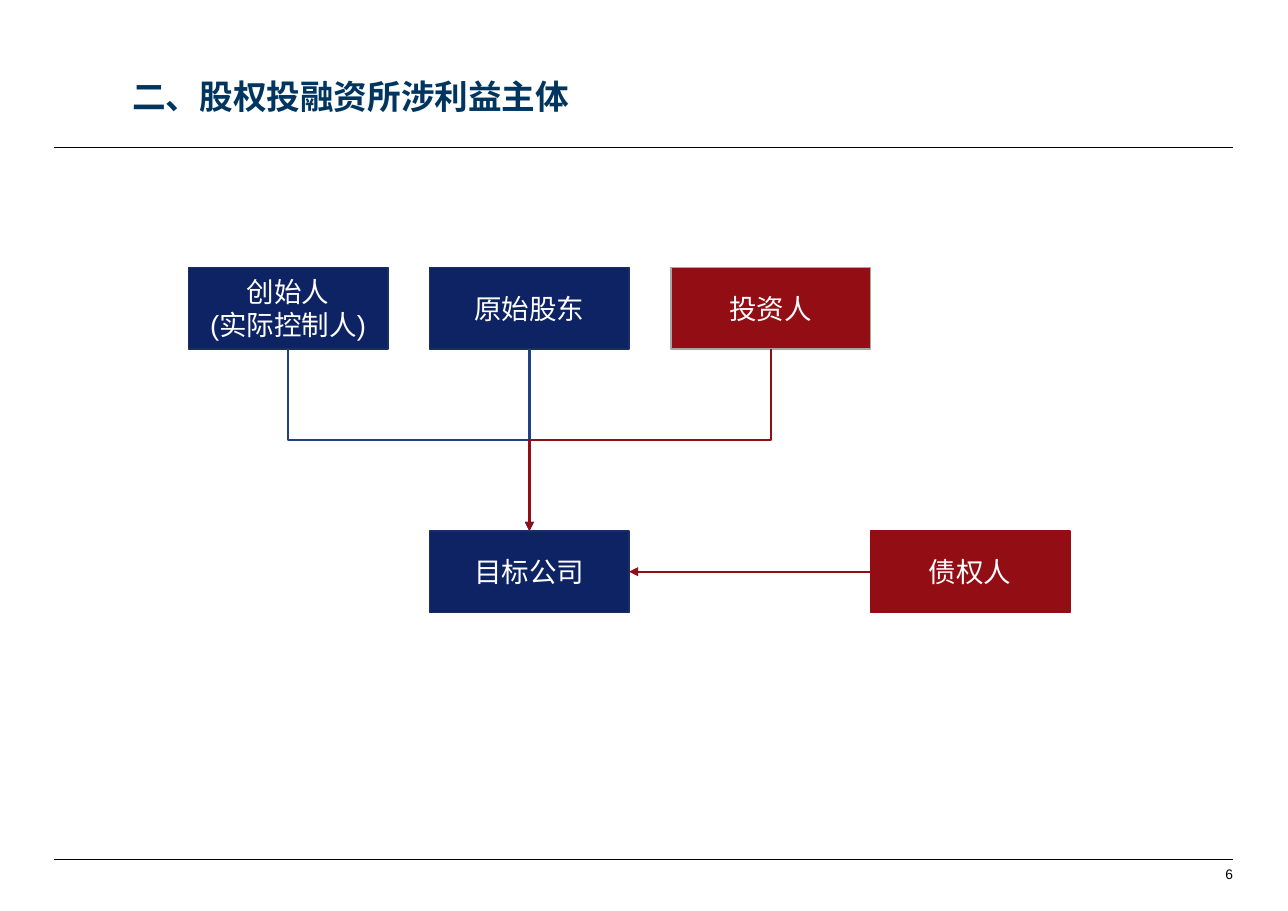
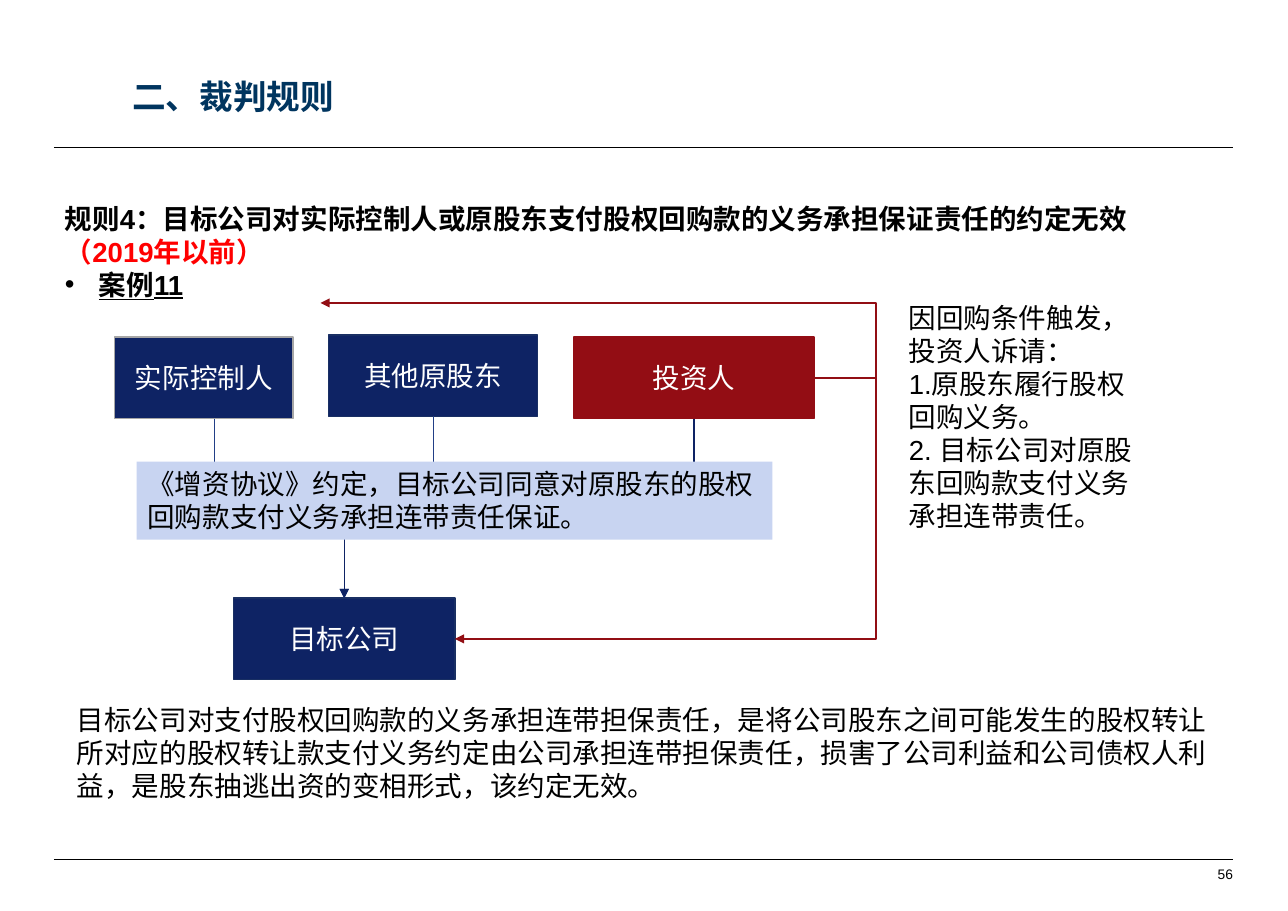
from lxml.etree import SubElement
from pptx import Presentation
from pptx.dml.color import RGBColor
from pptx.enum.lang import MSO_LANGUAGE_ID
from pptx.enum.shapes import MSO_CONNECTOR, MSO_SHAPE
from pptx.enum.text import MSO_ANCHOR, PP_ALIGN
from pptx.oxml.ns import qn
from pptx.util import Inches, Pt

BLACK = RGBColor(0x00, 0x00, 0x00)
WHITE = RGBColor(0xFF, 0xFF, 0xFF)
TITLE = RGBColor(0x00, 0x35, 0x5F)
NAVY = RGBColor(0x0E, 0x23, 0x64)
NAVY_EDGE = RGBColor(0x19, 0x2F, 0x63)
BLUE = RGBColor(0x22, 0x3F, 0x86)
RED = RGBColor(0x93, 0x0D, 0x14)
RED_LINE = RGBColor(0x92, 0x0E, 0x14)
ALERT = RGBColor(0xFF, 0x00, 0x00)
GREY = RGBColor(0xA6, 0xA6, 0xA6)
PALE = RGBColor(0xC8, 0xD4, 0xF1)

SLIDE_W, SLIDE_H = Inches(11.69), Inches(8.27)
MARGIN = 0.49
RIGHT = 11.19
BOX_H = 0.74
BOX_W = 1.81
COL_STEP = 2.19


def style_run(r, size=18, color=BLACK, bold=None):
    r.font.size = Pt(size)
    r.font.name = "Arial"
    r.font.bold = bold
    r.font.color.rgb = color
    r.font.language_id = MSO_LANGUAGE_ID.SIMPLIFIED_CHINESE


def fill_text(sp, lines, align=PP_ALIGN.LEFT, anchor=MSO_ANCHOR.TOP, **style):
    tf = sp.text_frame
    tf.word_wrap = True
    tf.vertical_anchor = anchor
    tf.text = "\n".join(lines)
    for p in tf.paragraphs:
        p.alignment = align
        for r in p.runs:
            style_run(r, **style)
    return tf


def set_insets(tf, left, top, right, bottom):
    tf.margin_left, tf.margin_top = Inches(left), Inches(top)
    tf.margin_right, tf.margin_bottom = Inches(right), Inches(bottom)


def add_text(slide, x, y, w, h, lines, **style):
    sp = slide.shapes.add_textbox(Inches(x), Inches(y), Inches(w), Inches(h))
    return fill_text(sp, lines, **style)


def add_rect(slide, x, y, w, h, fill, edge=None):
    sp = slide.shapes.add_shape(
        MSO_SHAPE.RECTANGLE, Inches(x), Inches(y), Inches(w), Inches(h))
    sp.shadow.inherit = False
    sp.fill.solid()
    sp.fill.fore_color.rgb = fill
    if edge is None:
        sp.line.fill.background()
    else:
        sp.line.color.rgb = edge
        sp.line.width = Pt(1)
    return sp


def add_party(slide, x, y, lines, w=BOX_W, fill=NAVY, edge=NAVY_EDGE):
    sp = add_rect(slide, x, y, w, BOX_H, fill, edge)
    fill_text(sp, lines, PP_ALIGN.CENTER, MSO_ANCHOR.MIDDLE, color=WHITE)
    return sp


def top_mid(sp):
    return sp.left + sp.width // 2, sp.top


def bottom_mid(sp):
    return sp.left + sp.width // 2, sp.top + sp.height


def left_mid(sp):
    return sp.left, sp.top + sp.height // 2


def right_mid(sp):
    return sp.left + sp.width, sp.top + sp.height // 2


def add_line(slide, start, end, color, width, arrow=True,
             kind=MSO_CONNECTOR.STRAIGHT, bend=None):
    line = slide.shapes.add_connector(kind, *start, *end)
    line.line.color.rgb = color
    line.line.width = Pt(width)
    spPr = line._element.spPr
    if arrow:
        SubElement(spPr.find(qn("a:ln")), qn("a:tailEnd"), type="triangle")
    SubElement(spPr, qn("a:effectLst"))
    if bend is not None:
        geom = spPr.find(qn("a:prstGeom"))
        av = geom.find(qn("a:avLst"))
        if av is None:
            av = SubElement(geom, qn("a:avLst"))
        SubElement(av, qn("a:gd"), name="adj1", fmla=f"val {round(bend * 100000)}")
    return line


def add_drop(slide, start, end, color, width):
    (x1, y1), (x2, y2) = start, end
    cx, cy = (x1 + x2) // 2, (y1 + y2) // 2
    half_w, half_h = (y2 - y1) // 2, abs(x2 - x1) // 2
    side, turn = (1, 270) if x2 > x1 else (-1, 90)
    line = add_line(slide, (cx + side * half_w, cy - half_h),
                    (cx - side * half_w, cy + half_h), color, width,
                    kind=MSO_CONNECTOR.ELBOW)
    line._element.spPr.find(qn("a:xfrm")).set("rot", str(turn * 60000))


def add_loop(slide, start, end, turn_x, color, width):
    bend = (turn_x - start[0]) / (end[0] - start[0])
    add_line(slide, start, end, color, width,
             kind=MSO_CONNECTOR.ELBOW, bend=bend)


def new_slide(prs, title, number):
    slide = prs.slides.add_slide(prs.slide_layouts[6])
    for y in (1.34, 7.8):
        add_line(slide, (Inches(MARGIN), Inches(y)),
                 (Inches(RIGHT), Inches(y)), BLACK, 0.5, arrow=False)
    tf = add_text(slide, RIGHT - 0.79, 7.81, 0.79, 0.25, [str(number)],
                  align=PP_ALIGN.RIGHT, anchor=MSO_ANCHOR.MIDDLE, size=9)
    set_insets(tf, 0.1, 0.02, 0, 0.02)
    tf = add_text(slide, 1.2, 0.69, 8.02, 0.43, [title],
                  size=22, color=TITLE, bold=True)
    set_insets(tf, 0, 0, 0, 0)
    tf.paragraphs[0].space_before = Pt(11)
    return slide


def build_parties(prs):
    slide = new_slide(prs, "二、股权投融资所涉利益主体", 6)
    col = [1.71 + i * COL_STEP for i in range(3)]
    upper, lower = 2.43, 4.82
    founder = add_party(slide, col[0], upper, ["创始人", "(实际控制人)"])
    holder = add_party(slide, col[1], upper, ["原始股东"])
    target = add_party(slide, col[1], lower, ["目标公司"])
    add_drop(slide, bottom_mid(founder), top_mid(target), BLUE, 1.5)
    add_line(slide, bottom_mid(holder), top_mid(target), BLUE, 1.5)
    investor = add_party(slide, col[2], upper, ["投资人"], fill=RED, edge=GREY)
    add_drop(slide, bottom_mid(investor), top_mid(target), RED_LINE, 1.5)
    creditor = add_party(slide, col[2] + BOX_W, lower, ["债权人"],
                         fill=RED, edge=RED)
    add_line(slide, left_mid(creditor), right_mid(target), RED_LINE, 1.5)


def add_rule(slide):
    tf = add_text(
        slide, MARGIN, 1.78, 10.02, 1.01,
        ["规则4：目标公司对实际控制人或原股东支付股权回购款的义务承担保证责任的约定无效",
         "案例11"], bold=True)
    rule, case = tf.paragraphs
    r = rule.add_run()
    r.text = "（2019年以前）"
    style_run(r, color=ALERT, bold=True)
    case.runs[0].font.underline = True
    pPr = case._p.get_or_add_pPr()
    pPr.set("marL", str(Inches(0.31)))
    pPr.set("indent", str(-Inches(0.31)))
    SubElement(pPr, qn("a:buFont"), typeface="Arial")
    SubElement(pPr, qn("a:buChar"), char="•")


def build_ruling(prs):
    slide = new_slide(prs, "二、裁判规则", 56)
    add_text(slide, 0.6, 6.33, 10.5, 1.01, [
        "目标公司对支付股权回购款的义务承担连带担保责任，是将公司股东之间可能发生的"
        "股权转让所对应的股权转让款支付义务约定由公司承担连带担保责任，损害了公司利益"
        "和公司债权人利益，是股东抽逃出资的变相形式，该约定无效。"])
    controller = add_party(slide, 1.04, 3.06, ["实际控制人"], w=1.62, edge=GREY)
    target = add_party(slide, 2.12, 5.43, ["目标公司"], w=2.01)
    investor = add_party(slide, 5.21, 3.06, ["投资人"], w=2.18,
                         fill=RED, edge=RED)
    holder = add_party(slide, 2.98, 3.04, ["其他原股东"], w=1.9)
    controller_exit = (Inches(1.95), bottom_mid(controller)[1])
    for start, color, width in ((controller_exit, BLUE, 0.5),
                                (bottom_mid(holder), BLUE, 0.5),
                                (bottom_mid(investor), NAVY, 1)):
        add_drop(slide, start, top_mid(target), color, width)
    add_text(slide, 8.15, 2.68, 2.24, 2.22, [
        "因回购条件触发，投资人诉请：",
        "1.原股东履行股权回购义务。",
        "2. 目标公司对原股东回购款支付义务承担连带责任。"])
    clause = add_rect(slide, 1.24, 4.19, 5.77, 0.71, PALE)
    fill_text(clause, [
        "《增资协议》约定，目标公司同意对原股东的股权回购款支付义务承担连带责任保证。"])
    add_rule(slide)
    for end in (right_mid(target), (Inches(2.91), Inches(2.75))):
        add_loop(slide, right_mid(investor), end, Inches(7.95), RED_LINE, 1.5)


def main():
    prs = Presentation()
    prs.slide_width, prs.slide_height = SLIDE_W, SLIDE_H
    build_parties(prs)
    build_ruling(prs)
    prs.save("out.pptx")


if __name__ == "__main__":
    main()
